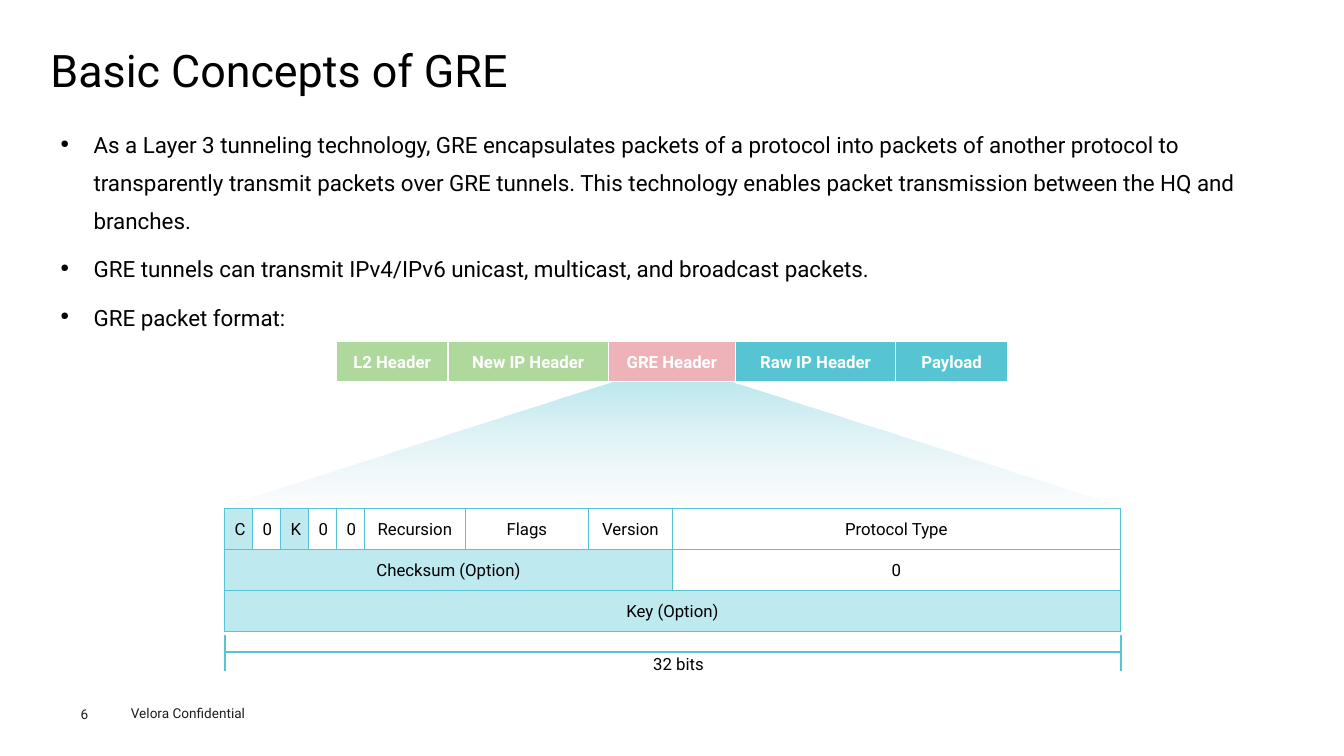
from dataclasses import dataclass

from lxml.etree import SubElement
from pptx import Presentation
from pptx.dml.color import RGBColor
from pptx.enum.shapes import MSO_CONNECTOR, MSO_SHAPE
from pptx.enum.text import MSO_ANCHOR, PP_ALIGN
from pptx.oxml import parse_xml
from pptx.oxml.ns import nsdecls, qn
from pptx.util import Cm, Pt


@dataclass(frozen=True)
class Theme:
    font: str = "Roboto"
    black: str = "000000"
    footer_ink: str = "1D1D1B"
    white: str = "FFFFFF"
    green: str = "AFD89C"
    pink: str = "EEB3B8"
    teal: str = "56C4D2"
    pale_teal: str = "BEE9EE"
    mist: str = "F7FAFD"
    title_size: float = 32
    body_size: float = 16
    label_size: float = 12
    footer_size: float = 9.7


theme = Theme()


def write(frame, text, size, color, bold=False, align=PP_ALIGN.LEFT):
    frame.text = text
    for para in frame.paragraphs:
        para.alignment = align
        for span in para.runs:
            span.font.name = theme.font
            span.font.size = Pt(size)
            span.font.bold = bold
            span.font.color.rgb = RGBColor.from_string(color)


def paint_cell(cell, fill, border, bottom_width=1):
    cell.vertical_anchor = MSO_ANCHOR.MIDDLE
    cell.fill.solid()
    cell.fill.fore_color.rgb = RGBColor.from_string(fill)
    properties = cell._tc.get_or_add_tcPr()
    for index, side in enumerate("LRTB"):
        width = Pt(bottom_width if side == "B" else 1)
        properties.insert(index, parse_xml(
            f'<a:ln{side} {nsdecls("a")} w="{width}"><a:solidFill>'
            f'<a:srgbClr val="{border}"/></a:solidFill></a:ln{side}>'))


deck = Presentation()
deck.slide_width, deck.slide_height = Cm(33.87), Cm(19.05)
page = deck.slides.add_slide(deck.slide_layouts[6])

# Footer, title and body text
body_text = "\n".join([
    "As a Layer 3 tunneling technology, GRE encapsulates packets of a protocol into packets of "
    "another protocol to transparently transmit packets over GRE tunnels. This technology "
    "enables packet transmission between the HQ and branches.",
    "GRE tunnels can transmit IPv4/IPv6 unicast, multicast, and broadcast packets.",
    "GRE packet format:",
])
texts = [
    ("Velora Confidential", (3.05, 17.65, 4.06, 0.69), theme.footer_size, theme.footer_ink, None),
    ("6", (2.03, 17.78, 1.4, 0.41), theme.footer_size, theme.footer_ink, 0),
    ("Basic Concepts of GRE", (1.27, 1.24, 31.37, 1.37), theme.title_size, theme.black, 0),
    (body_text, (1.27, 2.92, 30.3, 13.54), theme.body_size, theme.black, None),
]
frames = []
for text, place, size, color, margin in texts:
    frame = page.shapes.add_textbox(*map(Cm, place)).text_frame
    frame.word_wrap = True
    if margin is not None:
        frame.margin_left = frame.margin_right = margin
        frame.margin_top = frame.margin_bottom = margin
    write(frame, text, size, color)
    frames.append(frame)
title_frame, body_frame = frames[2:]
title_frame.paragraphs[0].line_spacing = 0.9

# Bullets
for para in body_frame.paragraphs:
    para.line_spacing = 1.4
    para.space_before = Pt(7.9)
    properties = para._p.get_or_add_pPr()
    properties.set("marL", str(Cm(0.84)))
    properties.set("indent", str(-Cm(0.84)))
    SubElement(properties, qn("a:buSzPct"), val="50000")
    SubElement(properties, qn("a:buChar"), char="●")

# Packet made of headers and payload
packet = [
    ("L2 Header", 2.82, theme.green),
    ("New IP Header", 4.04, theme.green),
    ("GRE Header", 3.2, theme.pink),
    ("Raw IP Header", 4.04, theme.teal),
    ("Payload", 2.82, theme.teal),
]
packet_table = page.shapes.add_table(
    1, len(packet), Cm(8.47), Cm(8.61), Cm(16.92), Cm(1.04)).table
packet_table.first_row = packet_table.horz_banding = False
for column, (label, width, fill) in enumerate(packet):
    packet_table.columns[column].width = Cm(width)
    cell = packet_table.cell(0, column)
    write(cell.text_frame, label, theme.label_size, theme.white, True, PP_ALIGN.CENTER)
    paint_cell(cell, fill, theme.white, 3)

# GRE header fields: label, number of columns, fill
header_left, header_width = Cm(5.66), Cm(22.58)
column_bits = [1, 1, 1, 1, 1, 3.6, 4.4, 3, 16]
header_rows = [
    [("C", 1, theme.pale_teal), ("0", 1, theme.white), ("K", 1, theme.pale_teal),
     ("0", 1, theme.white), ("0", 1, theme.white), ("Recursion", 1, theme.white),
     ("Flags", 1, theme.white), ("Version", 1, theme.white), ("Protocol Type", 1, theme.white)],
    [("Checksum (Option)", 8, theme.pale_teal), ("0", 1, theme.white)],
    [("Key (Option)", 9, theme.pale_teal)],
]
header_table = page.shapes.add_table(
    len(header_rows), len(column_bits), header_left, Cm(12.82), header_width, Cm(3.1)).table
header_table.first_row = header_table.horz_banding = False
for column, bits in zip(header_table.columns, column_bits):
    column.width = round(header_width * bits / 32)
for row, fields in enumerate(header_rows):
    start = 0
    for label, count, fill in fields:
        for column in range(start, start + count):
            paint_cell(header_table.cell(row, column), fill, theme.teal)
        cell = header_table.cell(row, start)
        if count > 1:
            cell.merge(header_table.cell(row, start + count - 1))
        write(cell.text_frame, label, theme.label_size, theme.black, align=PP_ALIGN.CENTER)
        start += count

# Fading zoom from the GRE header to its fields
zoom = page.shapes.add_shape(
    MSO_SHAPE.TRAPEZOID, header_left, Cm(9.65), header_width, Cm(3.1))
zoom.adjustments[0] = 3.144
zoom.shadow.inherit = False
zoom.line.fill.background()
zoom.fill.gradient()
zoom.fill.gradient_angle = 90
for stop, color in zip(zoom.fill.gradient_stops, (theme.mist, theme.pale_teal)):
    stop.color.rgb = RGBColor.from_string(color)
mist_color = next(zoom._element.spPr.iter(qn("a:srgbClr")))
SubElement(mist_color, qn("a:alpha"), val="50000")

# Width marker
header_right = header_left + header_width
marker_lines = [
    (header_left, Cm(16), header_left, Cm(16.92)),
    (header_right, Cm(16), header_right, Cm(16.92)),
    (header_right, Cm(16.43), header_left, Cm(16.43)),
]
for ends in marker_lines:
    marker = page.shapes.add_connector(MSO_CONNECTOR.STRAIGHT, *ends)
    marker.line.color.rgb = RGBColor.from_string(theme.teal)
    marker.line.width = Pt(1.5)
    SubElement(marker._element.spPr, qn("a:effectLst"))
bits_box = page.shapes.add_textbox(Cm(16.21), Cm(16.36), Cm(1.83), Cm(0.76))
bits_box.text_frame.word_wrap = False
write(bits_box.text_frame, "32 bits", theme.label_size, theme.black)

deck.save("out.pptx")
